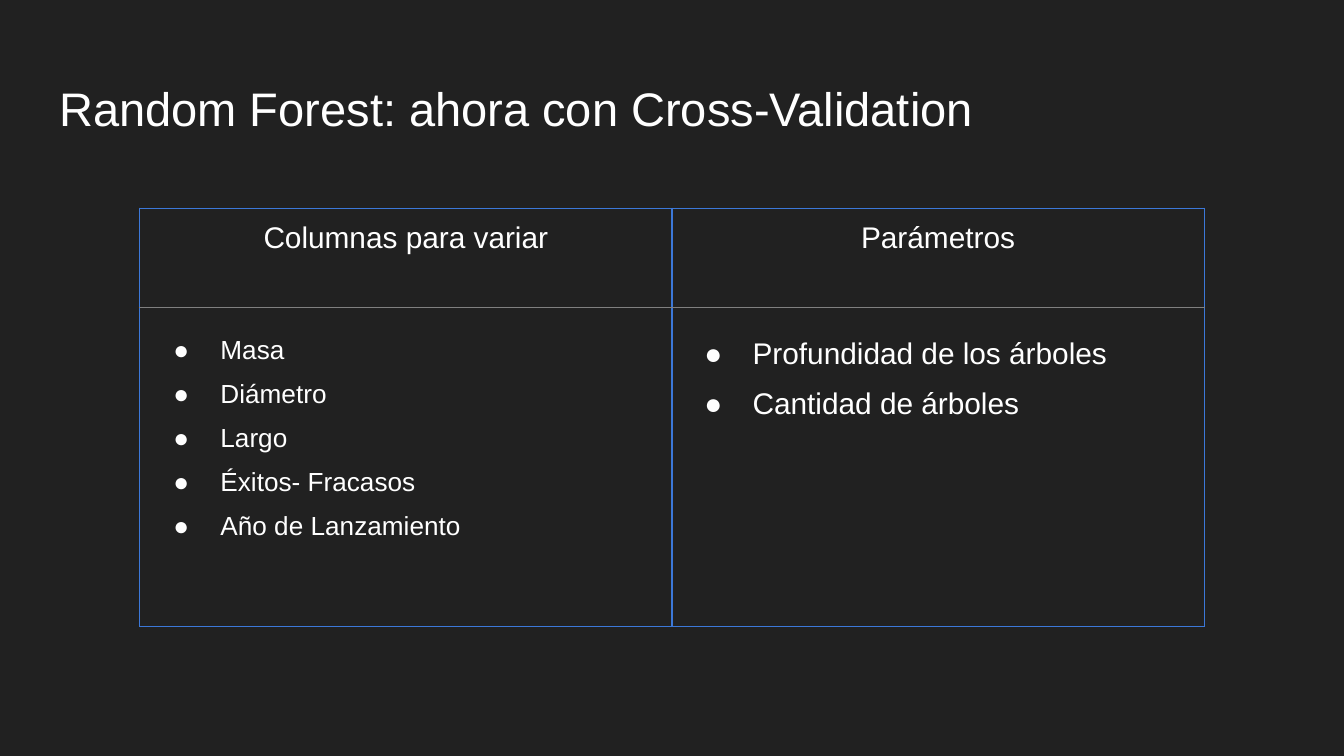
from lxml import etree
from pptx import Presentation
from pptx.dml.color import RGBColor
from pptx.enum.text import MSO_ANCHOR, PP_ALIGN
from pptx.oxml.ns import qn
from pptx.util import Inches, Pt

LEFT, CENTER = PP_ALIGN.LEFT, PP_ALIGN.CENTER
TOP = MSO_ANCHOR.TOP
COLORS = {"background": "212121", "text": "FFFFFF", "border": "3C78D8", "divider": "808080"}
FONT = "Arial"
PADDING = Inches(0.1)


def set_border(cell, side, color, width):
    line = etree.SubElement(cell._tc.get_or_add_tcPr(), qn(f"a:{side}"), w=str(Pt(width)))
    fill = etree.SubElement(line, qn("a:solidFill"))
    etree.SubElement(fill, qn("a:srgbClr"), val=COLORS[color])


def style_paragraph(paragraph, size, align, bullet_indent=None):
    """Format a paragraph, with a hanging bullet when an indent is given."""
    paragraph.alignment = align
    if bullet_indent:
        paragraph.line_spacing = 1.5
        properties = paragraph._p.get_or_add_pPr()
        properties.set("marL", str(Inches(0.5)))
        properties.set("indent", str(-Inches(bullet_indent)))
        bullet_color = etree.SubElement(properties, qn("a:buClr"))
        etree.SubElement(bullet_color, qn("a:srgbClr"), val=COLORS["text"])
        etree.SubElement(properties, qn("a:buFont"), typeface=FONT)
        etree.SubElement(properties, qn("a:buChar"), char="●")
    for run in paragraph.runs:
        run.font.name = FONT
        run.font.size = Pt(size)
        run.font.bold = False
        run.font.color.rgb = RGBColor.from_string(COLORS["text"])


prs = Presentation()
prs.slide_width = Inches(10)
prs.slide_height = Inches(10) * 9 // 16
slide = prs.slides.add_slide(prs.slide_layouts[5])
slide.background.fill.solid()
slide.background.fill.fore_color.rgb = RGBColor.from_string(COLORS["background"])

title = slide.shapes.title
title.left, title.top = Inches(0.34), Inches(0.49)
title.width, title.height = Inches(9.32), Inches(0.63)
heading = title.text_frame
heading.text = "Random Forest: ahora con Cross-Validation"
heading.word_wrap = True
heading.vertical_anchor = TOP
heading.margin_left = heading.margin_right = PADDING
heading.margin_top = heading.margin_bottom = PADDING
style_paragraph(heading.paragraphs[0], 25.2, LEFT)

# Heading, items, item size, bullet indent
columns = [
    ("Columnas para variar",
     ["Masa", "Diámetro", "Largo", "Éxitos- Fracasos", "Año de Lanzamiento"], 14, 0.35),
    ("Parámetros", ["Profundidad de los árboles", "Cantidad de árboles"], 16, 0.36),
]
table = slide.shapes.add_table(
    2, len(columns), Inches(1.04), Inches(1.55), Inches(7.92), Inches(3.11)).table
table.first_row = table.horz_banding = False
table.rows[0].height, table.rows[1].height = Inches(0.74), Inches(2.37)

for col, (column_heading, items, item_size, indent) in enumerate(columns):
    table.columns[col].width = Inches(3.96)
    header, body = table.cell(0, col), table.cell(1, col)
    header.text_frame.text = column_heading
    style_paragraph(header.text_frame.paragraphs[0], 16, CENTER)
    body.text_frame.text = "\n".join(items)
    for paragraph in body.text_frame.paragraphs:
        style_paragraph(paragraph, item_size, LEFT, indent)

    for cell, inner_side in ((header, "lnB"), (body, "lnT")):
        cell.margin_left = cell.margin_right = PADDING
        cell.margin_top = cell.margin_bottom = PADDING
        for side in ("lnL", "lnR", "lnT", "lnB"):
            if side == inner_side:
                set_border(cell, side, "divider", 0.5)
            else:
                set_border(cell, side, "border", 0.75)
        cell.fill.background()

prs.save("out.pptx")
